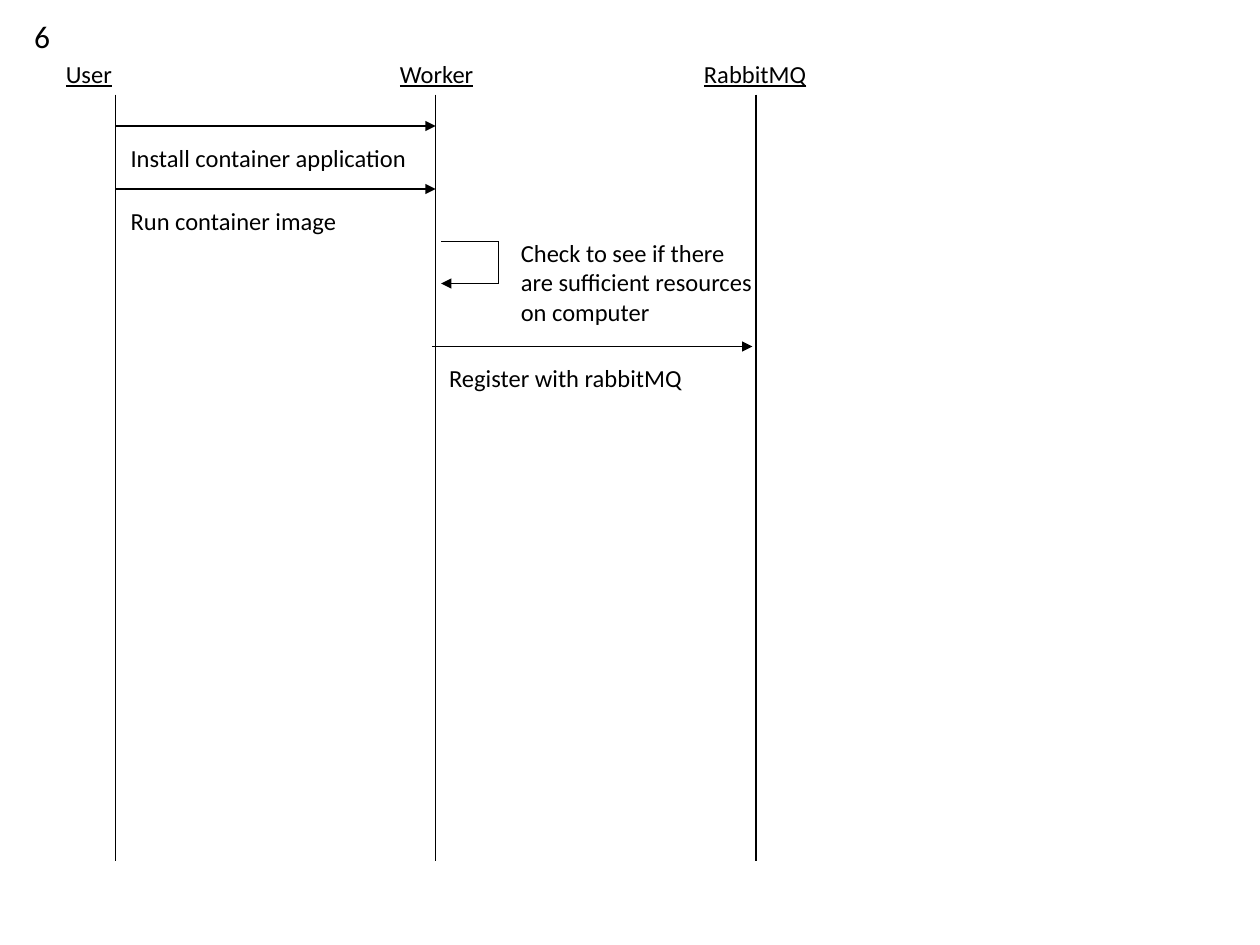
from dataclasses import dataclass
from itertools import pairwise

from lxml.etree import SubElement
from pptx import Presentation
from pptx.dml.color import RGBColor
from pptx.enum.shapes import MSO_CONNECTOR
from pptx.enum.text import MSO_AUTO_SIZE, PP_ALIGN
from pptx.oxml.ns import qn
from pptx.util import Pt


@dataclass(frozen=True)
class Theme:
    font: str = "Calibri"
    ink: RGBColor = RGBColor(0, 0, 0)
    body: float = 14
    large: float = 18
    stroke: float = 0.75
    inset: float = 3.6


class Canvas:
    def __init__(self, slide, theme):
        self.slide = slide
        self.theme = theme

    def text(self, words, left, top, width, height,
             size=None, align=PP_ALIGN.LEFT, under=None, wrap=True):
        box = self.slide.shapes.add_textbox(
            Pt(left), Pt(top), Pt(width), Pt(height))
        frame = box.text_frame
        frame.word_wrap = wrap
        frame.auto_size = MSO_AUTO_SIZE.SHAPE_TO_FIT_TEXT
        for side in ("left", "top", "right", "bottom"):
            setattr(frame, f"margin_{side}", Pt(self.theme.inset))
        para = frame.paragraphs[0]
        para.alignment = align
        run = para.add_run()
        run.text = words
        style = {"name": self.theme.font, "size": Pt(size or self.theme.body),
                 "underline": under}
        for key, value in style.items():
            setattr(run.font, key, value)
        run.font.color.rgb = self.theme.ink

    def line(self, start, end, arrow=False, group=None):
        shapes = (group or self.slide).shapes
        link = shapes.add_connector(
            MSO_CONNECTOR.STRAIGHT, *map(Pt, (*start, *end)))
        link.line.color.rgb = self.theme.ink
        link.line.width = Pt(self.theme.stroke)
        if arrow:
            SubElement(link.line._get_or_add_ln(), qn("a:tailEnd"),
                       type="triangle")
        SubElement(link._element.spPr, qn("a:effectLst"))

    def loop(self, left, top, width, height):
        """Draw a call that leaves a lifeline and returns to it."""
        group = self.slide.shapes.add_group_shape()
        right, base = left + width, top + height
        points = [(left, top), (right, top), (right, base), (left, base)]
        for start, end in pairwise(points):
            self.line(start, end, arrow=end == points[-1], group=group)


FIRST, STEP = 66, 183
TOP, BASE = 54, 492

HEADS = [  # name, left, width, align
    ("User", 34, 65, PP_ALIGN.LEFT),
    ("Worker", 196, 107, PP_ALIGN.CENTER),
    ("RabbitMQ", 369, 125, PP_ALIGN.CENTER),
]
CALLS = [  # label, arrow start, label left, y
    ("Install container application", FIRST, 71, 72),
    ("Run container image", FIRST, 71, 108),
    ("Register with rabbitMQ", 247, 253, 198),
]


def main():
    deck = Presentation()
    deck.slide_width, deck.slide_height = Pt(720), Pt(540)
    theme = Theme()
    canvas = Canvas(deck.slides.add_slide(deck.slide_layouts[6]), theme)

    canvas.text("6", 16, 6, 17, 26, size=theme.large, wrap=False)
    for i, (name, left, width, align) in enumerate(HEADS):
        canvas.text(name, left, 30, width, 22, align=align, under=True)
        x = FIRST + i * STEP
        canvas.line((x, TOP), (x, BASE))

    for label, start, left, y in CALLS:
        canvas.line((start, y), (start + STEP, y), arrow=True)
        canvas.text(label, left, y + 6, 176, 22)

    canvas.loop(252, 138, 33, 24)
    canvas.text("Check to see if there are sufficient resources on computer",
                294, 132.5, 140, 58)
    deck.save("out.pptx")


if __name__ == "__main__":
    main()
